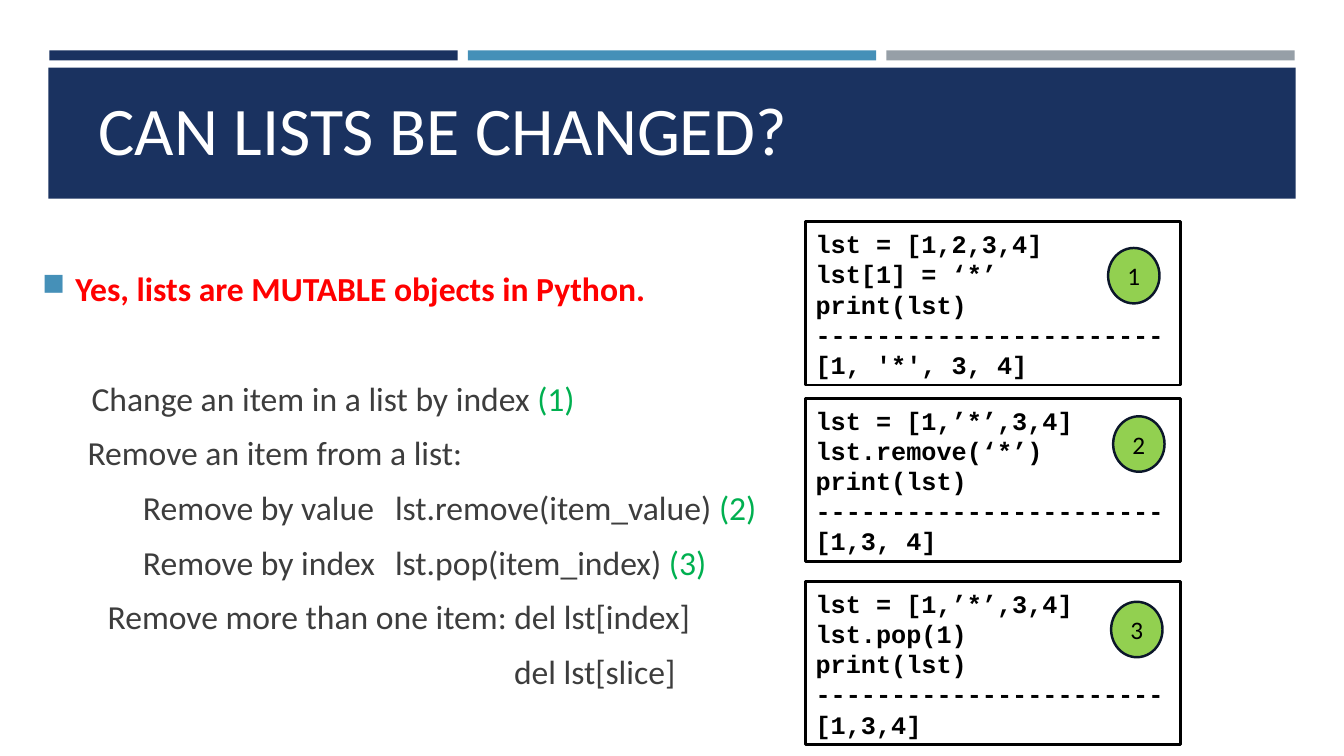
import pptx
import pptx.util
import pptx.dml.color
import pptx.enum.shapes
import pptx.enum.text
from lxml import etree
from pptx.util import Inches, Pt

SHAPE = pptx.enum.shapes.MSO_SHAPE
ANCHOR = pptx.enum.text.MSO_ANCHOR
ALIGN = pptx.enum.text.PP_ALIGN
NAVY, BLUE, GRAY = "1A3260", "4590B8", "969FA7"
DARK, GREEN, BLACK = "3D3D3D", "00B050", "000000"


def paint(part, code):
    if hasattr(part, "solid"):
        part.solid()
        part = part.fore_color
    part.rgb = pptx.dml.color.RGBColor.from_string(code)


def write(para, text, size, code, face="Calibri", bold=False):
    run = para.add_run()
    run.text = text
    run.font.size = Pt(size)
    run.font.name = face
    run.font.bold = bold
    paint(run.font.color, code)


deck = pptx.Presentation()
deck.slide_width, deck.slide_height = Inches(13.33), Inches(7.5)
slide = deck.slides.add_slide(deck.slide_layouts[6])
shapes = slide.shapes

# Top stripes and title band
bars = [(0.49 + 4.15 * i, 0.5, 4.05, 0.1, code)
        for i, code in enumerate([NAVY, BLUE, GRAY])]
bars.append((0.48, 0.67, 12.37, 1.3, NAVY))
for left, top, width, height, code in bars:
    bar = shapes.add_shape(SHAPE.RECTANGLE, Inches(left), Inches(top),
                           Inches(width), Inches(height))
    bar.shadow.inherit = False
    paint(bar.fill, code)
    bar.line.fill.background()

# Title
title = shapes.add_textbox(Inches(0.88), Inches(0.75), Inches(10.1), Inches(0.98))
frame = title.text_frame
frame.word_wrap = True
frame.vertical_anchor = ANCHOR.BOTTOM
write(frame.paragraphs[0], "CAN LISTS BE CHANGED?", 48.6, "FFFFFF")

# Body: indent, text, number of the matching example
lines = [
    (0.33, "Yes, lists are MUTABLE objects in Python.", ""),
    (0.49, "Change an item in a list by index ", "(1)"),
    (0.45, "Remove an item from a list:", ""),
    (1.0, "Remove by value\tlst.remove(item_value) ", "(2)"),
    (1.0, "Remove by index\tlst.pop(item_index) ", "(3)"),
    (0.65, "Remove more than one item: del lst[index]", ""),
    (4.68, "del lst[slice]", ""),
]
body = shapes.add_textbox(Inches(0.32), Inches(1.8), Inches(7.46), Inches(5.91))
frame = body.text_frame
frame.word_wrap = True
frame.vertical_anchor = ANCHOR.MIDDLE
ns = "{http://schemas.openxmlformats.org/drawingml/2006/main}"
for i, (indent, text, mark) in enumerate(lines):
    para = frame.paragraphs[0] if i == 0 else frame.add_paragraph()
    para.space_after = Pt(6)
    if i > 0:
        para.space_before = Pt(43.7 if i == 1 else 4.2)
    props = para._p.get_or_add_pPr()
    props.set("marL", str(Inches(indent)))
    props.set("indent", str(Inches(-0.33 if i == 0 else 0)))
    if i == 0:
        tint = etree.SubElement(props, ns + "buClr")
        etree.SubElement(tint, ns + "srgbClr", val=BLUE)
        etree.SubElement(props, ns + "buSzPct", val="92000")
        etree.SubElement(props, ns + "buChar", char="■")
    if "\t" in text:
        tabs = etree.SubElement(props, ns + "tabLst")
        etree.SubElement(tabs, ns + "tab", pos=str(Inches(3.5)), algn="l")
    write(para, text, 24, "FF0000" if i == 0 else DARK, bold=i == 0)
    if mark:
        write(para, mark, 24, GREEN)

# Code examples with numbered badges
rule = "-" * 23
demos = [
    (2.2, 10.99, 2.46, ["lst = [1,2,3,4]", "lst[1] = ‘*’", "print(lst)",
                        rule, "[1, '*', 3, 4]"]),
    (3.95, 11.04, 4.13, ["lst = [1,’*’,3,4]", "lst.remove(‘*’)", "print(lst)",
                         rule, "[1,3, 4]"]),
    (5.77, 11.02, 5.97, ["lst = [1,’*’,3,4]", "lst.pop(1)", "print(lst)",
                         rule, "[1,3,4]"]),
]
for num, (top, left, high, code) in enumerate(demos, 1):
    box = shapes.add_shape(SHAPE.RECTANGLE, Inches(7.99), Inches(top),
                           Inches(3.72), Inches(1.62))
    box.shadow.inherit = False
    box.fill.background()
    paint(box.line.fill, BLACK)
    box.line.width = Pt(2)
    frame = box.text_frame
    frame.word_wrap = True
    frame.vertical_anchor = ANCHOR.TOP
    frame.margin_top = Inches(0.07)
    for i, text in enumerate(code):
        para = frame.paragraphs[0] if i == 0 else frame.add_paragraph()
        para.alignment = ALIGN.LEFT
        para.line_spacing = Pt(21.5)
        write(para, text, 18, BLACK, "Courier New", True)

    badge = shapes.add_shape(SHAPE.OVAL, Inches(left), Inches(high),
                             Inches(0.51), Inches(0.55))
    badge.shadow.inherit = False
    paint(badge.fill, "92D050")
    paint(badge.line.fill, "0B162A")
    badge.line.width = Pt(1.75)
    frame = badge.text_frame
    frame.vertical_anchor = ANCHOR.MIDDLE
    frame.paragraphs[0].alignment = ALIGN.CENTER
    write(frame.paragraphs[0], str(num), 18, BLACK)

deck.save("out.pptx")
